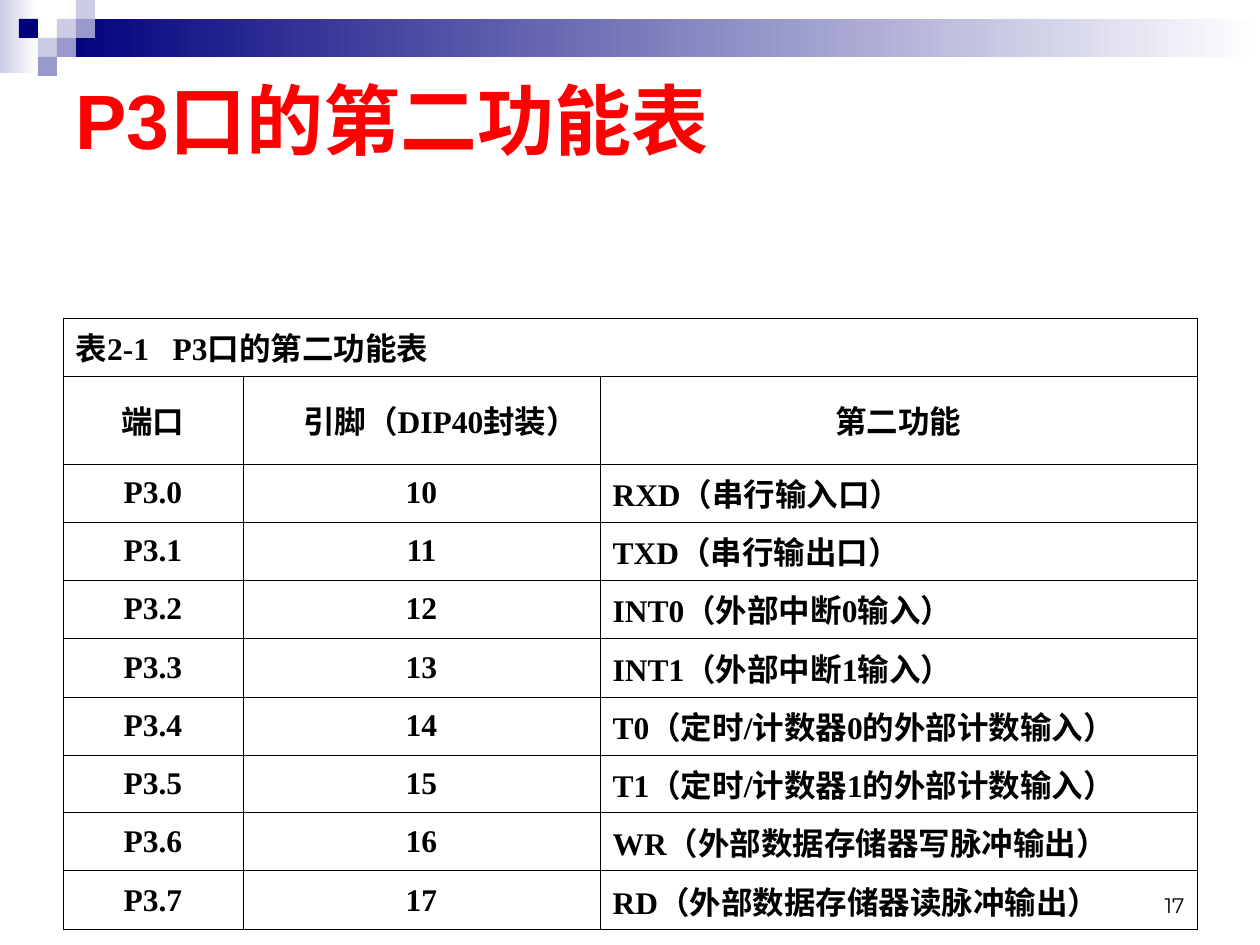
import pptx
import pptx.dml.color
import pptx.enum.shapes
import pptx.enum.text
import pptx.oxml
import pptx.oxml.ns
import pptx.util

PX = 914400 // 126
ALIGN = pptx.enum.text.PP_ALIGN
ANCHOR = pptx.enum.text.MSO_ANCHOR
CAPTION = "表2-1   P3口的第二功能表"
HEADINGS = ("端口", "引脚（DIP40封装）", "第二功能")
FUNCTIONS = (
    "RXD（串行输入口）",
    "TXD（串行输出口）",
    "INT0（外部中断0输入）",
    "INT1（外部中断1输入）",
    "T0（定时/计数器0的外部计数输入）",
    "T1（定时/计数器1的外部计数输入）",
    "WR（外部数据存储器写脉冲输出）",
    "RD（外部数据存储器读脉冲输出）",
)


def colour(code):
    """Turn a hex string into a colour."""
    return pptx.dml.color.RGBColor.from_string(code)


def emu(*lengths):
    """Turn px lengths into EMU."""
    return [pptx.util.Emu(length * PX) for length in lengths]


def style_text(paragraph, text, font, size, code, bold, align):
    """Fill a paragraph and format its run."""
    paragraph.text = text
    paragraph.alignment = align
    run_font = paragraph.runs[0].font
    run_font.name, run_font.size, run_font.bold = font, pptx.util.Pt(size), bold
    run_font.color.rgb = colour(code)


def add_label(slide, box, anchor, *style):
    """Place one line of text in a box."""
    frame = slide.shapes.add_textbox(*emu(*box)).text_frame
    frame.word_wrap = True
    frame.vertical_anchor = anchor
    style_text(frame.paragraphs[0], *style)


def add_block(slide, box, *codes):
    """Draw a borderless rectangle, solid or fading from right to left."""
    block = slide.shapes.add_shape(pptx.enum.shapes.MSO_SHAPE.RECTANGLE, *emu(*box))
    block.shadow.inherit = False
    block.line.fill.background()
    if len(codes) == 1:
        block.fill.solid()
        block.fill.fore_color.rgb = colour(codes[0])
        return
    block.fill.gradient()
    block.fill.gradient_angle = 180
    for stop, code in zip(block.fill.gradient_stops, codes):
        stop.color.rgb = colour(code)


def add_banner(slide, box):
    """Draw the fading bands and the mosaic of square tiles."""
    left, top, width, height = box
    tile = 19
    add_block(slide, (left, top, 2 * tile, height), "FFFFFF", "CCCCE6")
    add_block(slide, (left + 3 * tile, top + tile, width - 3 * tile, 2 * tile),
              "FFFFFF", "00007D")
    tiles = ((3, 1, "CCCCE6"), (4, 0, "CCCCE6"), (4, 1, "9999CC"), (2, 2, "CCCCE6"),
             (1, 1, "00007D"), (3, 2, "9999CC"), (2, 3, "9999CC"))
    for column, row, code in tiles:
        add_block(slide, (left + column * tile, top + row * tile, tile, tile), code)


def add_borders(cell):
    """Give a cell thin black lines on all sides."""
    properties = cell._tc.get_or_add_tcPr()
    for side in ("lnL", "lnR", "lnT", "lnB"):
        properties.append(pptx.oxml.parse_xml(
            f'<a:{side} {pptx.oxml.ns.nsdecls("a")} w="{pptx.util.Pt(0.45)}">'
            '<a:solidFill><a:srgbClr val="000000"/></a:solidFill>'
            f'</a:{side}>'))


def fill_cell(cell, text, align, indent=-48):
    """Write and format one table cell."""
    cell.vertical_anchor = ANCHOR.MIDDLE
    add_borders(cell)
    cell.fill.background()
    if not text:
        return
    paragraph = cell.text_frame.paragraphs[0]
    style_text(paragraph, text, "Times New Roman", 18, "000000", True, align)
    margin, first_line = emu(48, indent)
    properties = paragraph._p.get_or_add_pPr()
    properties.set("marL", str(margin))
    properties.set("indent", str(first_line))


def add_port_table(slide, box):
    """Build the table of second functions of port P3."""
    caption_height, heading_height = 58, 88
    rows = [(CAPTION, "", ""), HEADINGS]
    rows += [(f"P3.{bit}", str(10 + bit), function)
             for bit, function in enumerate(FUNCTIONS)]
    table = slide.shapes.add_table(len(rows), len(HEADINGS), *emu(*box)).table
    table.first_row = table.horz_banding = False
    for column, width in zip(table.columns, emu(180, 357, box[2] - 537)):
        column.width = width
    ports = len(FUNCTIONS)
    ports_height = box[3] - caption_height - heading_height
    edges = [ports_height * bit // ports for bit in range(ports + 1)]
    heights = [caption_height, heading_height]
    heights += [bottom - top for top, bottom in zip(edges, edges[1:])]
    for row, height in zip(table.rows, emu(*heights)):
        row.height = height
    for y, texts in enumerate(rows):
        for x, text in enumerate(texts):
            flush = y == 0 or (x == 2 and y > 1)
            align = ALIGN.LEFT if flush else ALIGN.CENTER
            fill_cell(table.cell(y, x), text, align, -10 if (y, x) == (1, 1) else -48)
    table.cell(0, 0).merge(table.cell(0, 2))


def main():
    """Build and save the slide."""
    deck = pptx.Presentation()
    deck.slide_width, deck.slide_height = emu(1260, 945)
    slide = deck.slides.add_slide(deck.slide_layouts[6])
    add_banner(slide, (0, 0, 1260, 73))
    add_label(slide, (63, 63, 1134, 112), ANCHOR.MIDDLE,
              "P3口的第二功能表", "Arial", 44, "FF0000", True, ALIGN.LEFT)
    add_port_table(slide, (63, 318, 1134, 612))
    add_label(slide, (903, 861, 294, 63), ANCHOR.BOTTOM,
              "17", "Montserrat", 12, "000000", False, ALIGN.RIGHT)
    deck.save("out.pptx")


if __name__ == "__main__":
    main()
